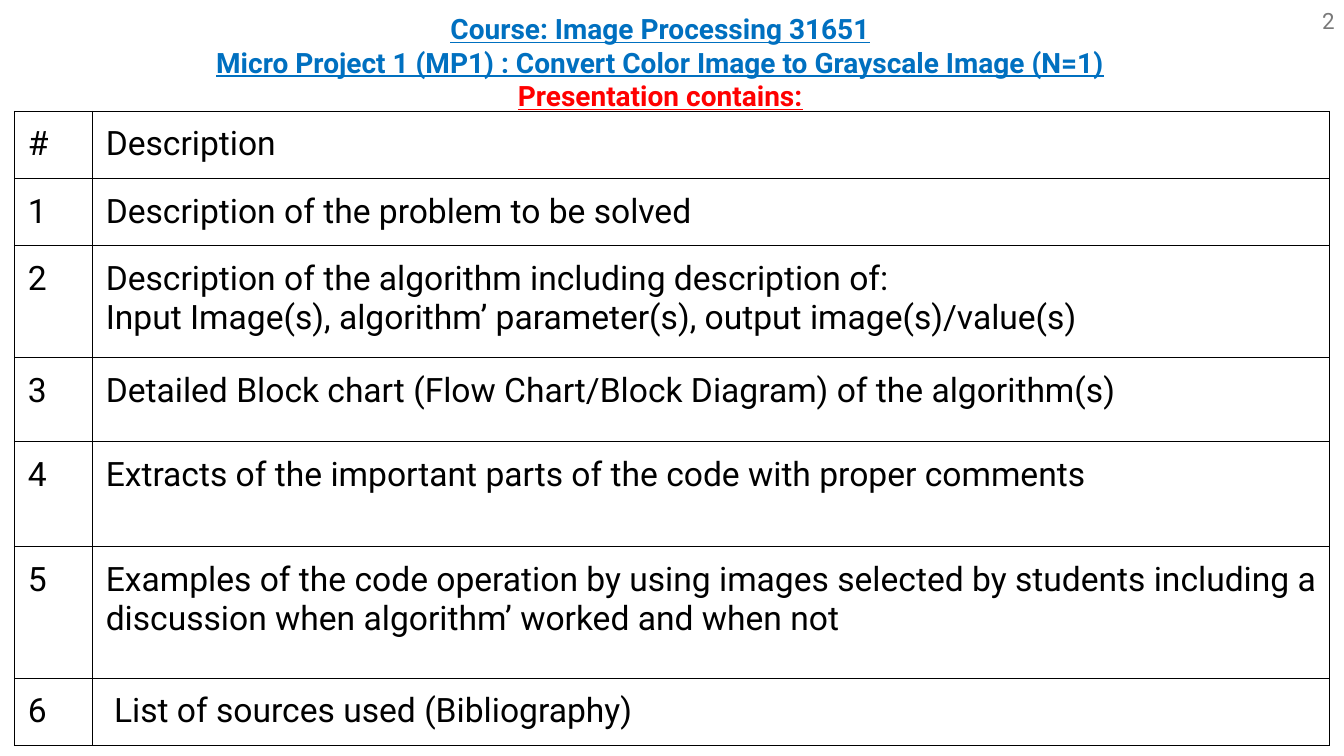
"""Build the contents slide of the image processing micro project."""
from lxml.etree import SubElement
from pptx import Presentation
from pptx.dml.color import RGBColor
from pptx.enum.text import MSO_ANCHOR, MSO_AUTO_SIZE, PP_ALIGN
from pptx.oxml.ns import qn
from pptx.util import Pt

TITLE = [
    ("0070C0", ["Course: Image Processing 31651",
                "Micro Project 1 (MP1) : Convert Color Image to Grayscale Image (N=1)"]),
    ("FF0000", ["Presentation contains:"]),
]
PAGE = "2"
ROWS = [
    (48, "#", ["Description"]),
    (48, "1", ["Description of the problem to be solved"]),
    (80, "2", ["Description of the algorithm including description of:",
               "Input Image(s), algorithm’ parameter(s), output image(s)/value(s)"]),
    (60, "3", ["Detailed Block chart (Flow Chart/Block Diagram) of the algorithm(s)"]),
    (75, "4", ["Extracts of the important parts of the code with proper comments"]),
    (94, "5", ["Examples of the code operation by using images selected by students "
               "including a discussion when algorithm’ worked and when not"]),
    (48, "6", [" List of sources used (Bibliography)"]),
]
COLUMNS = [55.7, 884]
FONT = "Roboto"
INSET = 9.6


def rgb(color):
    return RGBColor.from_string(color)


def set_margins(box, size):
    box.margin_left = box.margin_right = Pt(size)
    box.margin_top = box.margin_bottom = Pt(size)


def place(sp, left, top, width, height):
    sp.left, sp.top, sp.width, sp.height = map(Pt, (left, top, width, height))


def add_run(p, text, size, color, strong=False):
    r = p.add_run()
    r.text = text
    r.font.name, r.font.size = FONT, Pt(size)
    r.font.color.rgb = rgb(color)
    r.font.bold = r.font.underline = strong


def next_paragraph(tf, index):
    return tf.add_paragraph() if index else tf.paragraphs[0]


def set_borders(cell, color):
    props = cell._tc.get_or_add_tcPr()
    for i, side in enumerate(("lnL", "lnR", "lnT", "lnB")):
        line = SubElement(props, qn(f"a:{side}"), w=str(Pt(0.75)))
        fill = SubElement(line, qn("a:solidFill"))
        SubElement(fill, qn("a:srgbClr"), val=color)
        props.insert(i, line)


def add_title(slide):
    sp = slide.shapes.title
    place(sp, 121.7, -1.4, 699.8, 61.9)
    tf = sp.text_frame
    tf.auto_size, tf.word_wrap = MSO_AUTO_SIZE.NONE, True
    tf.vertical_anchor = MSO_ANCHOR.TOP
    set_margins(tf, INSET)
    for i, (color, lines) in enumerate(TITLE):
        p = next_paragraph(tf, i)
        p.alignment, p.line_spacing = PP_ALIGN.CENTER, 1.0
        for j, line in enumerate(lines):
            if j:
                p.add_line_break()
            add_run(p, line, 20, color, strong=True)


def add_contents(slide):
    heights = [height for height, _, _ in ROWS]
    frame = slide.shapes.add_table(len(ROWS), len(COLUMNS), Pt(10.3), Pt(79.5),
                                   Pt(sum(COLUMNS)), Pt(sum(heights)))
    table = frame.table
    table.first_row = table.horz_banding = False
    for column, width in zip(table.columns, COLUMNS):
        column.width = Pt(width)
    for row, (height, number, lines) in zip(table.rows, ROWS):
        row.height = Pt(height)
        for cell, texts in zip(row.cells, ([number], lines)):
            set_margins(cell, INSET)
            cell.vertical_anchor = MSO_ANCHOR.TOP
            cell.fill.background()
            set_borders(cell, "000000")
            for i, text in enumerate(texts):
                add_run(next_paragraph(cell.text_frame, i), text, 24, "000000")


def add_page_number(slide):
    sp = slide.shapes.add_textbox(Pt(931.7), Pt(0), Pt(28.8), Pt(29.5))
    tf = sp.text_frame
    tf.word_wrap, tf.vertical_anchor = True, MSO_ANCHOR.MIDDLE
    set_margins(tf, 7.2)
    p = tf.paragraphs[0]
    p.alignment = PP_ALIGN.RIGHT
    add_run(p, PAGE, 16, "797979")


def main():
    prs = Presentation()
    prs.slide_width, prs.slide_height = Pt(960), Pt(540)
    s = prs.slides.add_slide(prs.slide_layouts[5])
    add_title(s)
    add_contents(s)
    add_page_number(s)
    prs.save("out.pptx")


if __name__ == "__main__":
    main()
